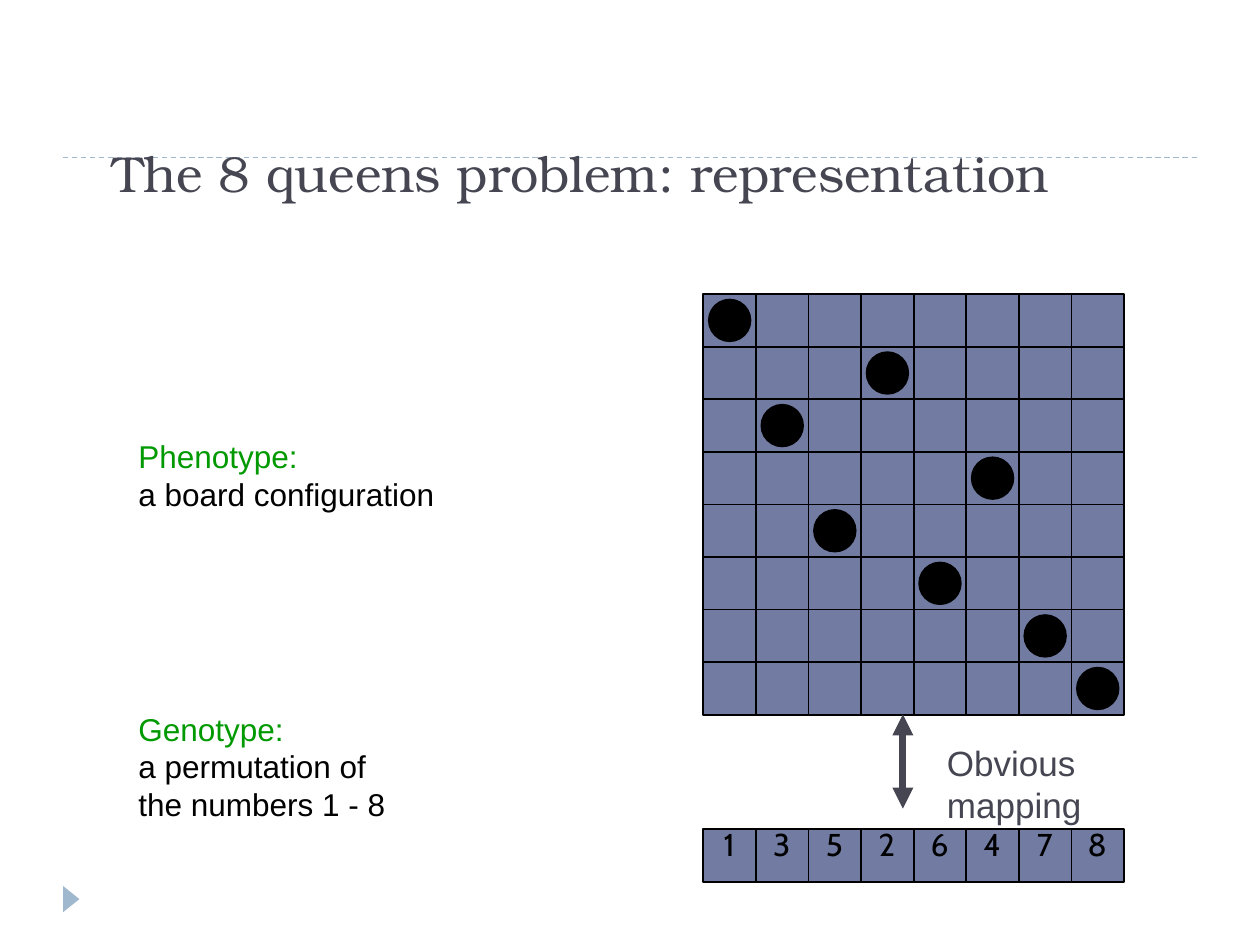
from lxml.etree import SubElement
from pptx import Presentation
from pptx.dml.color import RGBColor
from pptx.enum.dml import MSO_LINE
from pptx.enum.shapes import MSO_CONNECTOR, MSO_SHAPE
from pptx.enum.text import MSO_ANCHOR, PP_ALIGN
from pptx.oxml.ns import qn
from pptx.util import Cm, Pt

HUES = {"slate": "464653", "cell": "727CA3", "mist": "9FB8CD",
        "green": "009900", "black": "000000"}
GENES = [1, 3, 5, 2, 6, 4, 7, 8]
CELL = 1.06
DISC = 0.84


def tint(name):
    return RGBColor.from_string(HUES[name])


def write(slide, text, box, size=18, font="Arial", hues=("black",), wrap=True,
          align=PP_ALIGN.LEFT, anchor=MSO_ANCHOR.TOP, pitch=None, gap=None):
    frame = slide.shapes.add_textbox(*map(Cm, box)).text_frame
    frame.word_wrap = wrap
    frame.vertical_anchor = anchor
    frame.text = text
    for i, para in enumerate(frame.paragraphs):
        para.alignment = align
        para.line_spacing = pitch
        para.space_before = para.space_after = gap
        para.font.size = Pt(size)
        para.font.name = font
        para.font.color.rgb = tint(hues[min(i, len(hues) - 1)])


def draw(slide, kind, box, fill, edge=None):
    shape = slide.shapes.add_shape(kind, *map(Cm, box))
    shape.shadow.inherit = False
    shape.fill.solid()
    shape.fill.fore_color.rgb = tint(fill)
    if edge:
        shape.line.color.rgb = tint(edge)
        shape.line.width = Pt(1)
    else:
        shape.line.fill.background()
    return shape


def rule(slide, start, end, hue, width):
    line = slide.shapes.add_connector(MSO_CONNECTOR.STRAIGHT,
                                      *map(Cm, start + end))
    line.line.color.rgb = tint(hue)
    line.line.width = Pt(width)
    SubElement(line._element.spPr, qn("a:effectLst"))
    return line


def header(slide, left, top, width):
    line = rule(slide, (left, top), (left + width, top), "mist", 0.75)
    line.line.dash_style = MSO_LINE.DASH
    write(slide, "The 8 queens problem: representation",
          (left + 0.74, top - 1.06, 23.39, 2.11), size=28.8,
          font="TeX Gyre Bonum", hues=("slate",), anchor=MSO_ANCHOR.MIDDLE,
          pitch=1.5, gap=Pt(14.4))


def footer(slide, left, top):
    mark = draw(slide, MSO_SHAPE.ISOSCELES_TRIANGLE,
                (left, top, 0.53, 0.33), "mist")
    mark.rotation = 90


def labels(slide, left, top):
    write(slide, "Phenotype:\na board configuration",
          (left, top, 10.08, 2.62), hues=("green", "black"))
    write(slide, "Genotype:\na permutation of\nthe numbers 1 - 8",
          (left, top + 5.5, 8.26, 3.81), hues=("green", "black"))


def grid(slide, left, top, rows):
    for row in range(rows):
        for col in range(len(GENES)):
            draw(slide, MSO_SHAPE.RECTANGLE,
                 (left + col * CELL, top + row * CELL, CELL, CELL),
                 "cell", "black")


def board(slide, left, top):
    grid(slide, left, top, len(GENES))
    inset = (CELL - DISC) / 2
    for col, gene in enumerate(GENES):
        draw(slide, MSO_SHAPE.OVAL,
             (left + col * CELL + inset, top + (gene - 1) * CELL + inset,
              DISC, DISC), "black", "black")


def mapping(slide, left, top, height):
    line = rule(slide, (left, top), (left, top + height), "slate", 4)
    for end in ("a:headEnd", "a:tailEnd"):
        SubElement(line.line._get_or_add_ln(), qn(end), type="triangle")
    write(slide, "Obvious mapping", (left + 0.64, top + 0.42, 6, 1.09),
          size=20, hues=("slate",), wrap=False)


def genome(slide, left, top):
    grid(slide, left, top, 1)
    for col, gene in enumerate(GENES):
        write(slide, str(gene), (left + col * CELL + 0.02, top - 0.21, 1, 1.42),
              font="Cabin", wrap=False, align=PP_ALIGN.CENTER)


def main():
    deck = Presentation()
    deck.slide_width, deck.slide_height = Cm(25.4), Cm(19.05)
    slide = deck.slides.add_slide(deck.slide_layouts[6])
    header(slide, 1.27, 3.17, 22.86)
    footer(slide, 1.17, 17.96)
    genome(slide, 14.18, 16.72)
    labels(slide, 2.54, 8.68)
    board(slide, 14.18, 5.93)
    mapping(slide, 18.2, 14.4, 1.9)
    deck.save("out.pptx")


if __name__ == "__main__":
    main()
